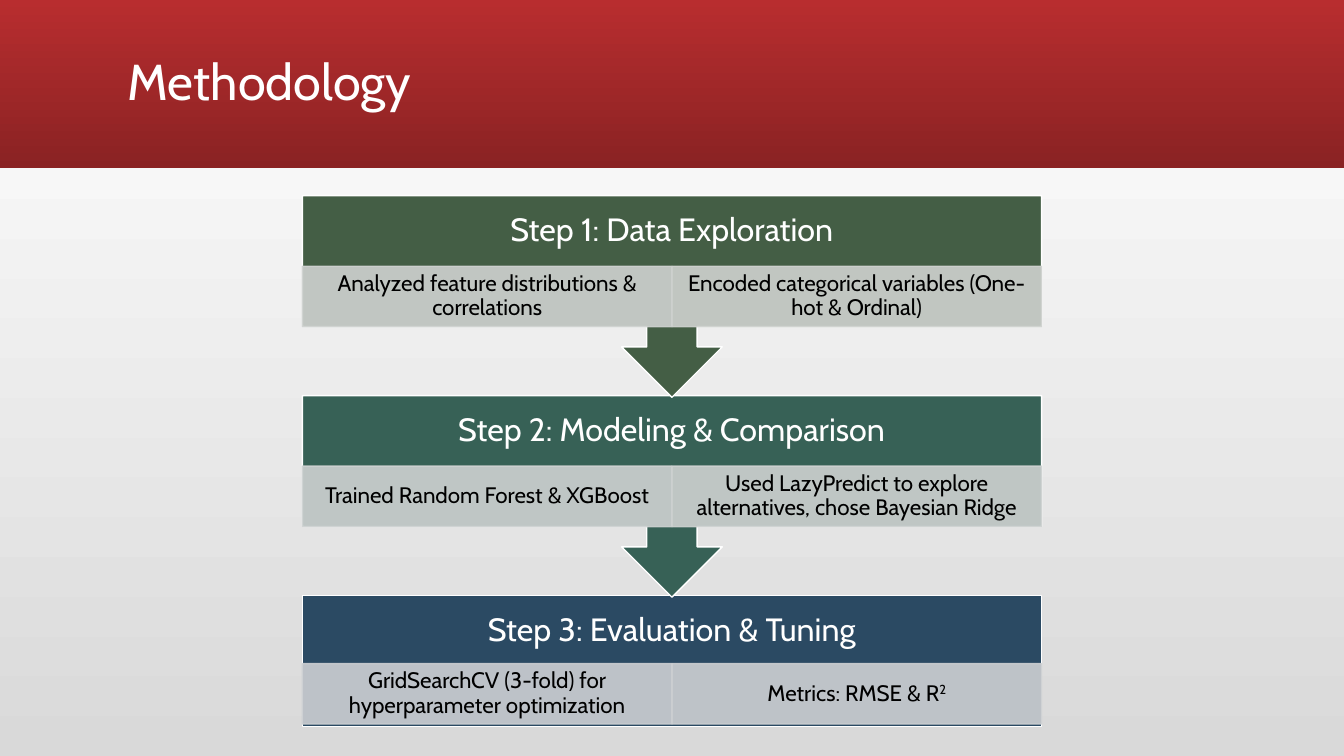
from pptx import Presentation
from pptx.dml.color import RGBColor
from pptx.enum.shapes import MSO_SHAPE
from pptx.enum.text import MSO_ANCHOR, MSO_AUTO_SIZE, PP_ALIGN
from pptx.oxml.ns import qn
from pptx.util import Inches, Pt
from lxml import etree

RECTANGLE, CALLOUT = MSO_SHAPE.RECTANGLE, MSO_SHAPE.DOWN_ARROW_CALLOUT
MIDDLE, NO_FIT = MSO_ANCHOR.MIDDLE, MSO_AUTO_SIZE.NONE
LEFT, CENTER = PP_ALIGN.LEFT, PP_ALIGN.CENTER
COLUMNS, ROWS, UNIT = 160, 90, 1 / 12

FLOW_LEFT, FLOW_WIDTH, FLOW_TOP, STEP_PITCH = 36, 88, 23.3, 23.8
HEADING_ROWS, DETAIL_ROWS = 8.4, 7.2
STEPS = [
    ("Step 1: Data Exploration", "445E45", 24, 8.4,
     [("Analyzed feature distributions & correlations", "CFD2D0"),
      ("Encoded categorical variables (One-hot & Ordinal)", "CFD2CF")]),
    ("Step 2: Modeling & Comparison", "376156", 24, 8.4,
     [("Trained Random Forest & XGBoost", "CED2D2"),
      ("Used LazyPredict to explore alternatives, chose Bayesian Ridge", "CED2D1")]),
    ("Step 3: Evaluation & Tuning", "2B4A63", 15.6, 8.1,
     [("GridSearchCV (3-fold) for hyperparameter optimization", "CDD0D3"),
      ("Metrics: RMSE & R^2", "CED1D3")]),
]


def rgb(code):
    """Turn a hex string into a colour."""
    return RGBColor.from_string(code)


class Deck:
    """Hold the style and the current slide, measured in grid columns and rows."""

    font = "Cabin"

    def __init__(self):
        """Open a presentation with one title slide on the grid."""
        self.presentation = Presentation()
        self.presentation.slide_width = self.grid(COLUMNS)
        self.presentation.slide_height = self.grid(ROWS)
        self.slide = self.presentation.slides.add_slide(self.presentation.slide_layouts[5])

    def grid(self, count):
        """Convert grid units to a length."""
        return Inches(count * UNIT)

    def gradient(self, fill, start, end, angle):
        """Fill with a linear gradient of two colours."""
        fill.gradient()
        fill.gradient_angle = angle
        for stop, code in zip(fill.gradient_stops, (start, end)):
            stop.color.rgb = rgb(code)

    def label(self, holder, text, size, color, align, insets=(0.1, 0.05)):
        """Set one paragraph, with any part after a caret raised."""
        frame = holder.text_frame
        base, _, raised = text.partition("^")
        frame.text = base
        frame.word_wrap = True
        frame.auto_size = NO_FIT
        frame.vertical_anchor = MIDDLE
        frame.margin_left = frame.margin_right = Inches(insets[0])
        frame.margin_top = frame.margin_bottom = Inches(insets[1])
        paragraph = frame.paragraphs[0]
        paragraph.alignment = align
        paragraph.line_spacing = 0.9
        if raised:
            exponent = paragraph.add_run()
            exponent.text = raised
            exponent.font._element.set("baseline", "30000")
        for run in paragraph.runs:
            run.font.name = self.font
            run.font.size = Pt(size)
            run.font.color.rgb = rgb(color)

    def shape(self, kind, *box):
        """Add a preset shape without shadow or line."""
        shape = self.slide.shapes.add_shape(kind, *map(self.grid, box))
        shape.shadow.inherit = False
        shape.line.fill.background()
        return shape

    def block(self, kind, fill, line, *box, opacity=100):
        """Add an outlined shape, optionally translucent."""
        block = self.shape(kind, *box)
        block.fill.solid()
        block.fill.fore_color.rgb = rgb(fill)
        block.line.color.rgb = rgb(line)
        block.line.width = Pt(1)
        if opacity < 100:
            for color in block._element.spPr.iter(qn("a:srgbClr")):
                etree.SubElement(color, qn("a:alpha")).set("val", str(opacity * 1000))
        return block

    def header(self, text):
        """Add the backdrop, the title band and the title."""
        self.gradient(self.slide.background.fill, "D9D9D9", "FFFFFF", 90)
        band = self.shape(RECTANGLE, 0, 0, COLUMNS, 20)
        self.gradient(band.fill, "B82D2F", "8A2223", 270)
        title = self.slide.shapes.title
        self.slide.shapes._spTree.append(title._element)
        title.left, title.top, title.width, title.height = map(self.grid, (14, 1.3, 132, 17.4))
        self.label(title, text, 36, "FFFFFF", LEFT)

    def step(self, kind, top, heading, color, height, detail_offset, details):
        """Add a step with its heading and a row of details."""
        self.block(kind, color, "FFFFFF", FLOW_LEFT, top, FLOW_WIDTH, height)
        heading_box = self.slide.shapes.add_textbox(
            *map(self.grid, (FLOW_LEFT, top, FLOW_WIDTH, HEADING_ROWS)))
        self.label(heading_box, heading, 23, "FFFFFF", CENTER, (0.18, 0.18))
        width = FLOW_WIDTH / len(details)
        for index, (detail, tint) in enumerate(details):
            cell = self.block(RECTANGLE, tint, tint, FLOW_LEFT + index * width,
                              top + detail_offset, width, DETAIL_ROWS, opacity=90)
            self.label(cell, detail, 16, "000000", CENTER, (0.12, 0.02))


def main():
    """Build the methodology slide."""
    deck = Deck()
    deck.header("Methodology")
    last = len(STEPS) - 1
    for index in range(last, -1, -1):
        kind = RECTANGLE if index == last else CALLOUT
        deck.step(kind, FLOW_TOP + index * STEP_PITCH, *STEPS[index])
    deck.presentation.save("out.pptx")


if __name__ == "__main__":
    main()
